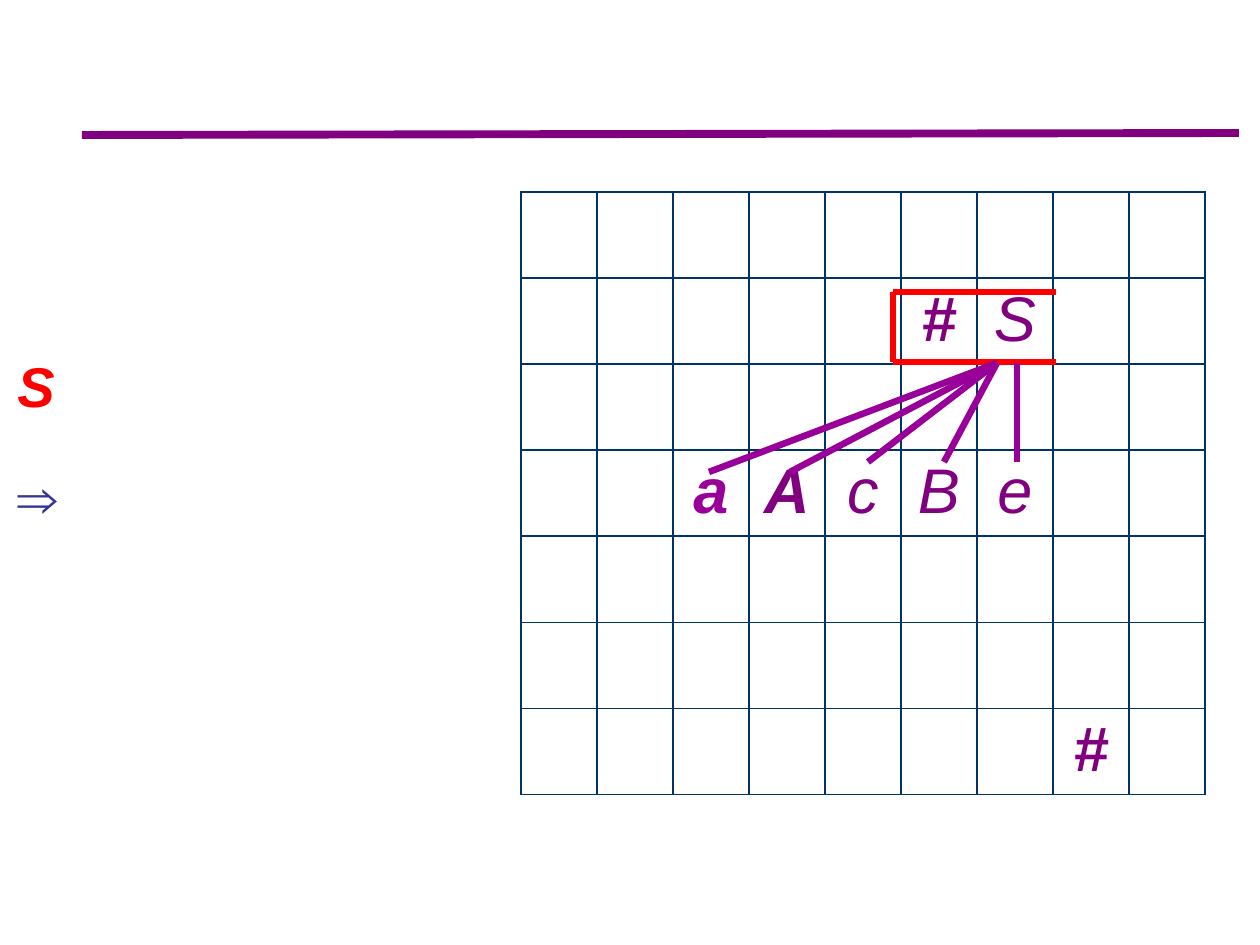
import pptx
import pptx.dml.color
import pptx.enum.shapes
import pptx.enum.text
import pptx.oxml
import pptx.oxml.ns
import pptx.util

PX = 914400 // 126
COLORS = {
    "grid": "003366",
    "purple": "800080",
    "violet": "990099",
    "red": "FF0000",
    "blue": "333399",
}

presentation = pptx.Presentation()
presentation.slide_width = 1260 * PX
presentation.slide_height = 945 * PX
slide = presentation.slides.add_slide(presentation.slide_layouts[6])
shapes = slide.shapes


def draw_line(start, end, color, width):
    line = shapes.add_connector(
        pptx.enum.shapes.MSO_CONNECTOR.STRAIGHT, *(v * PX for v in start + end))
    line.line.color.rgb = pptx.dml.color.RGBColor.from_string(COLORS[color])
    line.line.width = pptx.util.Pt(width)
    line._element.spPr.append(pptx.oxml.parse_xml(
        f'<a:effectLst {pptx.oxml.ns.nsdecls("a")}/>'))


def style_text(paragraph, size, color, bold, italic):
    font = paragraph.runs[0].font
    font.name = "Arial"
    font.size = pptx.util.Pt(size)
    font.bold = bold
    font.italic = italic
    font.color.rgb = pptx.dml.color.RGBColor.from_string(COLORS[color])


# Rule under the title area
draw_line((82, 135), (1239, 133), "purple", 4.5)

# Grid of symbols: (row, column) -> text, colour, bold
ROWS, COLS = 7, 9
symbols = {
    (1, 5): ("#", "purple", True),
    (1, 6): ("S", "purple", False),
    (3, 2): ("a", "violet", True),
    (3, 3): ("A", "purple", True),
    (3, 4): ("c", "purple", False),
    (3, 5): ("B", "purple", False),
    (3, 6): ("e", "purple", False),
    (6, 7): ("#", "purple", True),
}
grid = shapes.add_table(
    ROWS, COLS, 521 * PX, 192 * PX, 684 * PX, 583 * PX).table
grid.first_row = False
grid.horz_banding = False

for row in range(ROWS):
    for col in range(COLS):
        cell = grid.cell(row, col)
        cell.fill.background()
        cell.margin_top = 6 * PX
        cell.margin_bottom = 3 * PX
        properties = cell._tc.get_or_add_tcPr()
        for position, side in enumerate("LRTB"):
            properties.insert(position, pptx.oxml.parse_xml(
                f'<a:ln{side} {pptx.oxml.ns.nsdecls("a")} w="12700"><a:solidFill>'
                f'<a:srgbClr val="{COLORS["grid"]}"/></a:solidFill></a:ln{side}>'))
        if (row, col) in symbols:
            text, color, bold = symbols[row, col]
            paragraph = cell.text_frame.paragraphs[0]
            paragraph.text = text
            paragraph.alignment = pptx.enum.text.PP_ALIGN.CENTER
            style_text(paragraph, 36, color, bold, True)
        else:
            cell.text_frame.paragraphs[0].font.size = pptx.util.Pt(36)

# Open bracket around "# S"
left, right, top, bottom = 893, 1056, 292, 362
draw_line((right, bottom), (left, bottom), "red", 3)
draw_line((right, top), (left, top), "red", 3)
draw_line((left, bottom), (left, top), "red", 3)

# Branches from S down to each symbol it derives
draw_line((1017, 363), (1017, 462), "violet", 3.75)
for end in [(944, 462), (868, 462), (790, 472), (709, 472)]:
    draw_line((997, 363), end, "violet", 3.75)

# Derivation on the left
derivation = shapes.add_textbox(5 * PX, 345 * PX, 403 * PX, 177 * PX).text_frame
derivation.word_wrap = True
derivation.text = "S\n⇒"
start_symbol, arrow = derivation.paragraphs
style_text(start_symbol, 32, "red", True, True)
style_text(arrow, 32, "blue", True, False)
arrow.line_spacing = 1.5
arrow.space_before = pptx.util.Pt(6)

presentation.save("out.pptx")
